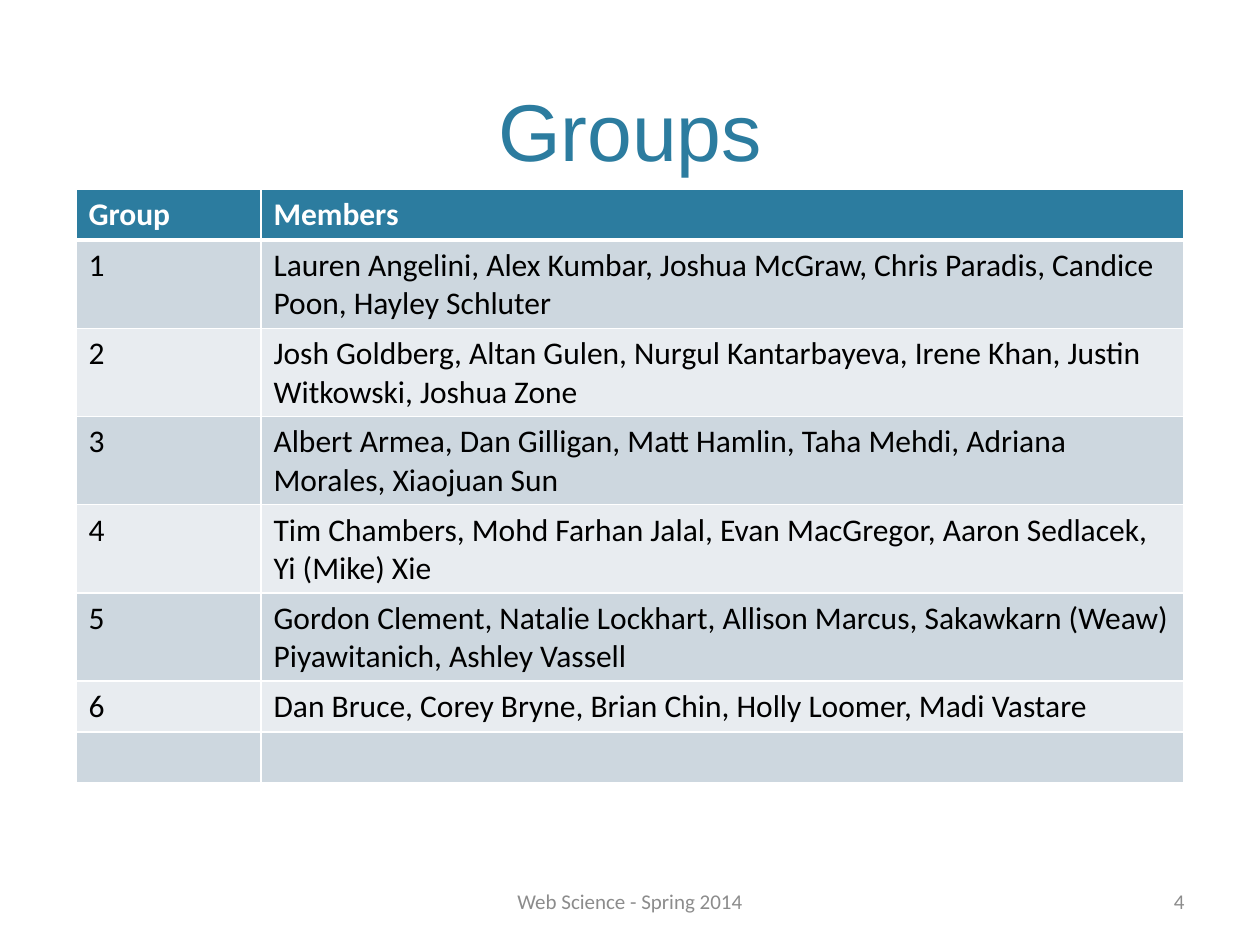
from dataclasses import dataclass

from lxml.etree import SubElement
from pptx import Presentation
from pptx.dml.color import RGBColor
from pptx.enum.text import MSO_ANCHOR, PP_ALIGN
from pptx.oxml.ns import qn
from pptx.util import Pt

EMU_PER_PX = 914400 / 126


def px(length):
    return round(length * EMU_PER_PX)


@dataclass(frozen=True)
class Theme:
    accent: str = "2C7C9F"
    light: str = "FFFFFF"
    dark: str = "000000"
    muted: str = "8C8C8C"
    bands: tuple = ("CDD7DF", "E8ECF0")
    title_font: str = "Arial"
    body_font: str = "Calibri"
    title_size: int = 46
    body_size: int = 18
    footer_size: int = 12


def write(frame, text, *, font, size, color, bold=False, align=PP_ALIGN.LEFT):
    para = frame.paragraphs[0]
    para.alignment = align
    span = para.add_run()
    span.text = text
    span.font.name = font
    span.font.size = Pt(size)
    span.font.bold = bold
    span.font.color.rgb = RGBColor.from_string(color)


def set_borders(cell, color, bottom_width):
    """Outline a cell; must run before its fill is set, as XML order matters."""
    properties = cell._tc.get_or_add_tcPr()
    widths = {"lnL": 1, "lnR": 1, "lnT": 1, "lnB": bottom_width}
    for side, width in widths.items():
        line = SubElement(properties, qn(f"a:{side}"), w=str(Pt(width)))
        fill = SubElement(line, qn("a:solidFill"))
        SubElement(fill, qn("a:srgbClr"), val=color)


class SlideBuilder:
    def __init__(self, page, theme):
        self.page = page
        self.theme = theme

    def text(self, text, left, top, width, height, *, anchor, **style):
        box = self.page.shapes.add_textbox(px(left), px(top), px(width), px(height))
        frame = box.text_frame
        frame.word_wrap = True
        frame.vertical_anchor = anchor
        write(frame, text, **style)

    def title(self, text, *place):
        theme = self.theme
        self.text(text, *place, anchor=MSO_ANCHOR.BOTTOM, font=theme.title_font,
                  size=theme.title_size, color=theme.accent, align=PP_ALIGN.CENTER)

    def footer(self, text, *place, align):
        theme = self.theme
        self.text(text, *place, anchor=MSO_ANCHOR.MIDDLE, font=theme.body_font,
                  size=theme.footer_size, color=theme.muted, align=align)

    def table(self, rows, left, top, column_widths, row_height):
        theme = self.theme
        table = self.page.shapes.add_table(
            len(rows), len(column_widths), px(left), px(top),
            px(sum(column_widths)), px(row_height * len(rows))).table
        for column, width in zip(table.columns, column_widths):
            column.width = px(width)
        for row_index, row in enumerate(rows):
            header = row_index == 0
            fill = theme.accent if header else theme.bands[(row_index - 1) % 2]
            for column_index, text in enumerate(row):
                cell = table.cell(row_index, column_index)
                set_borders(cell, theme.light, bottom_width=3 if header else 1)
                cell.fill.solid()
                cell.fill.fore_color.rgb = RGBColor.from_string(fill)
                if text:
                    write(cell.text_frame, text, font=theme.body_font,
                          size=theme.body_size, bold=header,
                          color=theme.light if header else theme.dark)


GROUPS = [
    "Lauren Angelini, Alex Kumbar, Joshua McGraw, Chris Paradis, Candice Poon, Hayley Schluter",
    "Josh Goldberg, Altan Gulen, Nurgul Kantarbayeva, Irene Khan, Justin Witkowski, Joshua Zone",
    "Albert Armea, Dan Gilligan, Matt Hamlin, Taha Mehdi, Adriana Morales, Xiaojuan Sun",
    "Tim Chambers, Mohd Farhan Jalal, Evan MacGregor, Aaron Sedlacek, Yi (Mike) Xie",
    "Gordon Clement, Natalie Lockhart, Allison Marcus, Sakawkarn (Weaw) Piyawitanich, Ashley Vassell",
    "Dan Bruce, Corey Bryne, Brian Chin, Holly Loomer, Madi Vastare",
]


def main():
    deck = Presentation()
    deck.slide_width, deck.slide_height = px(1260), px(945)
    page = deck.slides.add_slide(deck.slide_layouts[6])
    builder = SlideBuilder(page, Theme())

    builder.title("Groups", 76, 0, 1108, 184)
    builder.footer("Web Science - Spring 2014", 430, 876, 400, 50, align=PP_ALIGN.CENTER)
    builder.footer("4", 903, 876, 294, 50, align=PP_ALIGN.RIGHT)

    numbered = [(str(number), members) for number, members in enumerate(GROUPS, 1)]
    rows = [("Group", "Members"), *numbered, ("", "")]
    builder.table(rows, 76, 189, (185, 923), 51)

    deck.save("out.pptx")


if __name__ == "__main__":
    main()
